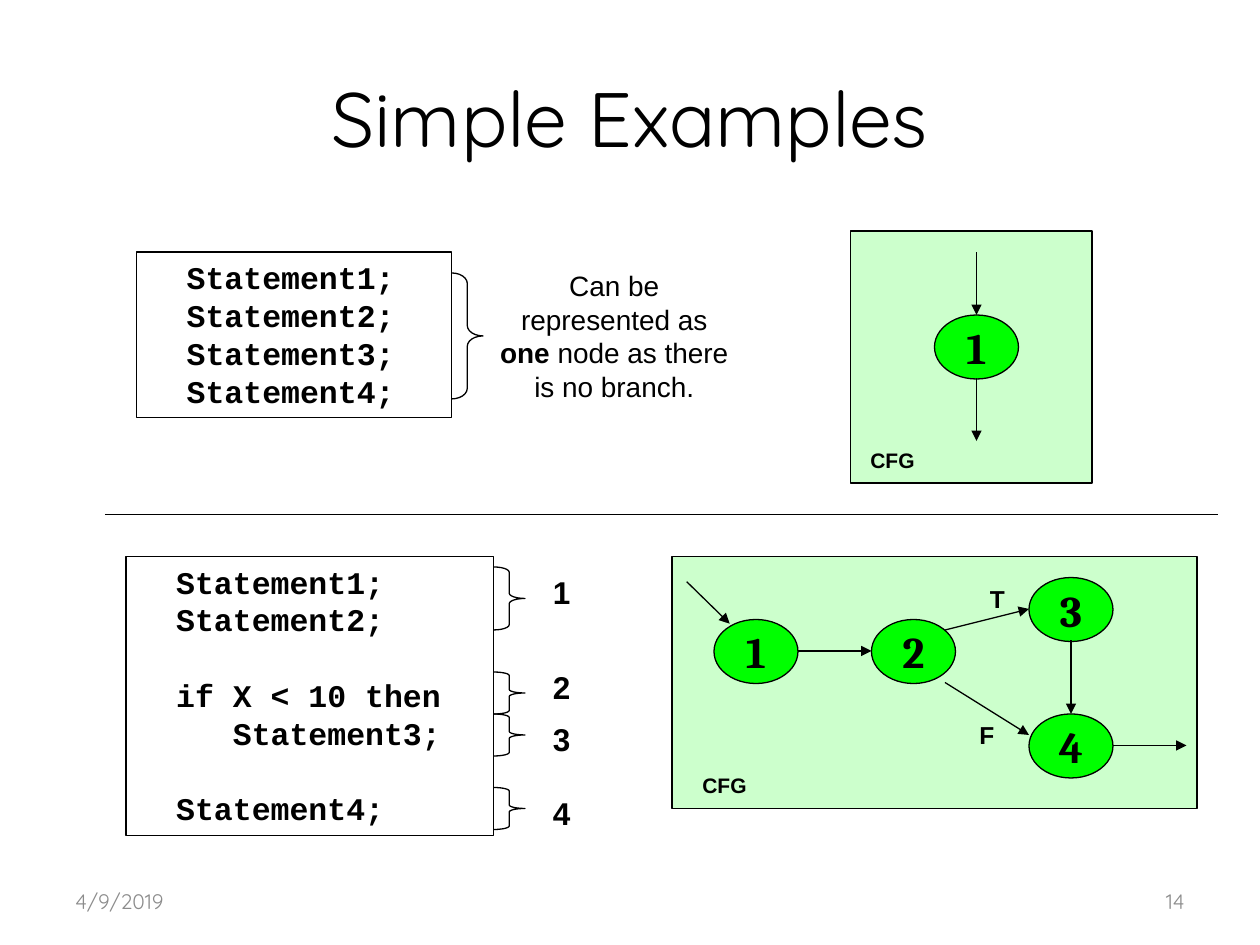
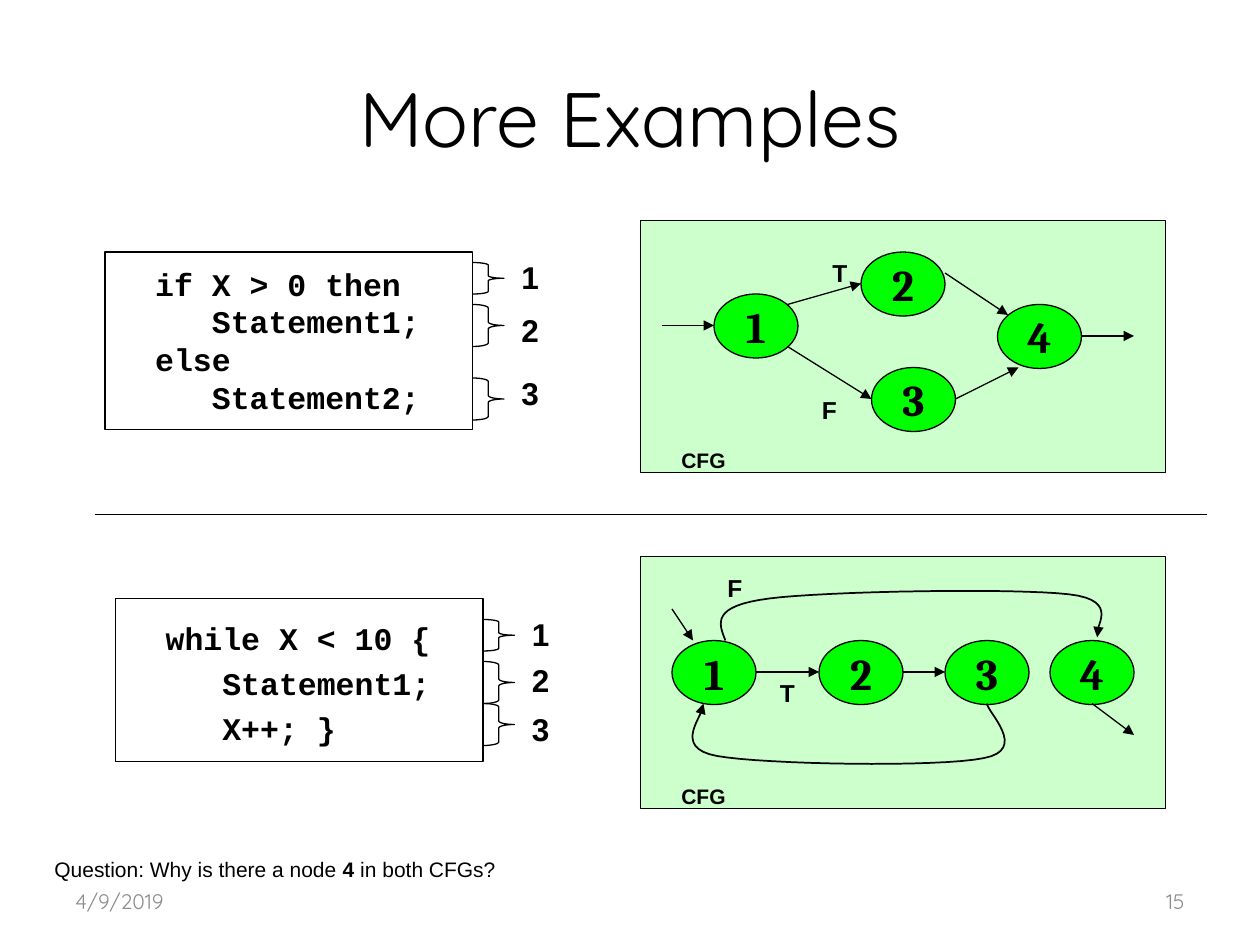
from lxml import etree
from pptx import Presentation
from pptx import util as u
from pptx.dml.color import RGBColor
from pptx.enum import shapes, text
from pptx.oxml.ns import qn

COLORS = {"ink": "000000", "footer": "8C8C8C", "panel": "CCFFCC", "node": "00FF00"}
FORMATS = {
    "title": {"name": "Quicksand", "size": u.Pt(44), "bold": False},
    "footer": {"name": "Quicksand", "size": u.Pt(12), "bold": False},
    "code": {"name": "Courier New", "size": u.Pt(18), "bold": True},
    "node": {"name": "Cambria", "size": u.Pt(25), "bold": True},
    "line number": {"name": "Arial", "size": u.Pt(18), "bold": True},
    "branch": {"name": "Arial", "size": u.Pt(14), "bold": True},
    "caption": {"name": "Arial", "size": u.Pt(12), "bold": True},
    "remark": {"name": "Arial", "size": u.Pt(16), "bold": False},
    "question": {"name": "Arial", "size": u.Pt(12), "bold": False},
}
CENTER = text.PP_ALIGN.CENTER
MIDDLE = text.MSO_ANCHOR.MIDDLE
TOP = text.MSO_ANCHOR.TOP
NODE_SIZE = (8, 6.1)
CODE_LINE = u.Pt(21.5)
CURVE_STEPS = 16


def cells(count):
    return u.Cm(2.54 * count / 12)


def color(name):
    return RGBColor.from_string(COLORS[name])


def assign(target, values):
    for attribute, value in values.items():
        setattr(target, attribute, value)


def write(paragraph, runs, style, ink="ink"):
    for words, bold in runs:
        run = paragraph.add_run()
        run.text = words
        assign(run.font, FORMATS[style])
        if bold is not None:
            run.font.bold = bold
        run.font.color.rgb = color(ink)


def add_text(slide, box, runs, style, align=CENTER, anchor=TOP, ink="ink"):
    shape = slide.shapes.add_textbox(*map(cells, box))
    assign(shape.text_frame, {"word_wrap": True, "vertical_anchor": anchor})
    paragraph = shape.text_frame.paragraphs[0]
    paragraph.alignment = align
    write(paragraph, runs, style, ink)


def outline(shape, width):
    shape.shadow.inherit = False
    shape.line.color.rgb = color("ink")
    shape.line.width = u.Pt(width)


def add_outlined(slide, kind, box, fill=None, width=0.75):
    shape = slide.shapes.add_shape(kind, *map(cells, box))
    outline(shape, width)
    if fill:
        shape.fill.solid()
        shape.fill.fore_color.rgb = color(fill)
    else:
        shape.fill.background()
    return shape


def add_arrowhead(shape):
    etree.SubElement(shape.line._get_or_add_ln(), qn("a:tailEnd"), type="triangle")


def add_line(slide, points, width=0.75, arrow=True):
    line = slide.shapes.add_connector(shapes.MSO_CONNECTOR.STRAIGHT, *map(cells, points))
    line.line.color.rgb = color("ink")
    line.line.width = u.Pt(width)
    if arrow:
        add_arrowhead(line)
    etree.SubElement(line._element.spPr, qn("a:effectLst"))


def bezier_points(start, segments):
    points = []
    for first, second, end in segments:
        for step in range(1, CURVE_STEPS + 1):
            t = step / CURVE_STEPS
            weights = ((1 - t) ** 3, 3 * t * (1 - t) ** 2, 3 * t * t * (1 - t), t ** 3)
            corners = (start, first, second, end)
            points.append(tuple(sum(w * c[axis] for w, c in zip(weights, corners))
                                for axis in (0, 1)))
        start = end
    return points


def add_curve(slide, left, top, start, segments):
    def place(point):
        return cells(left + point[0]), cells(top + point[1])

    builder = slide.shapes.build_freeform(*place(start))
    builder.add_line_segments(map(place, bezier_points(start, segments)), close=False)
    curve = builder.convert_to_shape()
    outline(curve, 1)
    curve.fill.background()
    add_arrowhead(curve)


def add_code(slide, box, source, braces, numbers=(), number_gap=3, inset=0.6, spacing=None):
    left, top, width, height = box
    shape = add_outlined(slide, shapes.MSO_SHAPE.RECTANGLE, box)
    frame = shape.text_frame
    assign(frame, {"word_wrap": True, "vertical_anchor": TOP,
                   "margin_top": cells(inset), "margin_bottom": cells(inset)})
    paragraph = frame.paragraphs[0]
    for block_index, block in enumerate(source.split("\n\n")):
        for line_index, line in enumerate(block.split("\n")):
            if block_index or line_index:
                paragraph = frame.add_paragraph()
            if block_index and not line_index:
                paragraph.space_before = CODE_LINE
            paragraph.alignment = text.PP_ALIGN.LEFT
            if spacing:
                paragraph.line_spacing = spacing
            write(paragraph, [(line, None)], "code")
    for offset, size in braces:
        brace = add_outlined(slide, shapes.MSO_SHAPE.RIGHT_BRACE,
                             (left + width, top + offset, 3, size))
        brace.adjustments[0] = size / 36
    for number, offset in enumerate(numbers, 1):
        add_text(slide, (left + width + number_gap, top + offset, 5, 4.8),
                 [(str(number), None)], "line number")


def add_graph(slide, box, nodes, edges, caption, branches=None, curves=()):
    left, top = box[:2]
    add_outlined(slide, shapes.MSO_SHAPE.RECTANGLE, box, "panel", 1)
    add_text(slide, (left + caption[0], top + caption[1], 8, 3.6), [("CFG", None)], "caption")
    for number, (x, y) in enumerate(nodes, 1):
        node = add_outlined(slide, shapes.MSO_SHAPE.OVAL, (left + x, top + y, *NODE_SIZE), "node")
        assign(node.text_frame, {"word_wrap": False, "vertical_anchor": MIDDLE})
        paragraph = node.text_frame.paragraphs[0]
        paragraph.alignment = CENTER
        write(paragraph, [(str(number), None)], "node")
    for x1, y1, x2, y2 in edges:
        add_line(slide, (left + x1, top + y1, left + x2, top + y2))
    for label, (x, y) in (branches or {}).items():
        add_text(slide, (left + x, top + y, 6, 4), [(label, None)], "branch")
    for start, segments in curves:
        add_curve(slide, left, top, start, segments)


def add_frame(presentation, title, number, divider_left):
    slide = presentation.slides.add_slide(presentation.slide_layouts[6])
    add_text(slide, (6, 3.6, 108, 15), [(title, None)], "title", anchor=MIDDLE)
    for left, words, align in ((6, "4/9/2019", text.PP_ALIGN.LEFT),
                               (86, number, text.PP_ALIGN.RIGHT)):
        add_text(slide, (left, 83.4, 28, 4.8), [(words, None)], "footer", align, MIDDLE, "footer")
    add_line(slide, (divider_left, 49, divider_left + 106, 49), 1, arrow=False)
    return slide


def build_simple_examples(presentation):
    slide = add_frame(presentation, "Simple Examples", "14", 10)
    add_code(slide, (13, 24, 30, 15.8),
             "  Statement1;\n  Statement2;\n  Statement3;\n  Statement4;", [(2, 12)])
    add_text(slide, (46, 25, 25, 14),
             [("Can be represented as ", None), ("one ", True),
              ("node as there is no branch.", None)], "remark")
    add_graph(slide, (81, 22, 23, 24), [(8, 8)],
              [(12, 2, 12, 8), (12, 14, 12, 20)], (0, 20))
    add_code(slide, (12, 53, 35, 26.6),
             "  Statement1;\n  Statement2;\n\n  if X < 10 then\n     Statement3;\n\n  Statement4;",
             [(1, 6), (11, 4), (15, 4), (22, 4)], (1, 10, 15, 22), 4)
    add_graph(slide, (64, 53, 50, 24), [(4, 6), (19, 6), (34, 2), (34, 15)],
              [(1.4, 2.4, 5.5, 6.4), (12, 9, 19, 9), (26, 7, 34, 5), (26, 12, 34, 17),
               (38, 8, 38, 15), (42, 18, 49, 18)],
              (1, 20), {"T": (28, 2), "F": (27, 15)})


def build_more_examples(presentation):
    slide = add_frame(presentation, "More Examples", "15", 9)
    add_code(slide, (10, 24, 35, 16.9),
             "  if X > 0 then\n     Statement1;\n  else\n     Statement2;",
             [(1, 3), (5, 4), (12, 4)], (0, 5, 11), inset=1.2)
    add_graph(slide, (61, 21, 50, 24), [(7, 7), (21, 3), (22, 14), (34, 8)],
              [(2, 10, 7, 10), (14, 8, 21, 6), (14, 12, 22, 17), (29, 5, 35, 9),
               (30, 17, 36, 14), (42, 11, 47, 11)],
              (2, 21), {"T": (16, 3), "F": (15, 16)})
    add_code(slide, (11, 57, 35, 15.5), "  while X < 10 {\n     Statement1;\n     X++; }",
             [(2, 3), (6, 4), (10, 4)], (1, 5.4, 10), inset=1.2, spacing=1.2)
    exit_curve = ((8.1, 8), [((7.4, 6.3), (6.8, 4.7), (12.3, 4)),
                             ((17.7, 3.3), (35.6, 3), (40.8, 3.6)),
                             ((46, 4.2), (43, 6.9), (43.5, 7.7))])
    loop_curve = ((33, 14), [((33, 14.8), (37, 18.4), (32.7, 19.2)),
                             ((28.4, 20.1), (11.7, 19.8), (7.3, 19)),
                             ((2.8, 18.2), (6.2, 15), (6, 14))])
    add_graph(slide, (61, 53, 50, 24), [(x, 8) for x in (3, 17, 29, 39)],
              [(3, 5, 5, 8), (11, 11, 17, 11), (25, 11, 29, 11), (43, 14, 47, 17)],
              (2, 21), {"T": (11, 11), "F": (6, 1)}, (exit_curve, loop_curve))
    add_text(slide, (4, 81, 51, 3.6),
             [("Question: Why is there a node ", None), ("4 ", True), ("in both CFGs?", None)],
             "question", text.PP_ALIGN.LEFT)


def main():
    presentation = Presentation()
    assign(presentation, {"slide_width": cells(120), "slide_height": cells(90)})
    build_simple_examples(presentation)
    build_more_examples(presentation)
    presentation.save("out.pptx")


if __name__ == "__main__":
    main()
